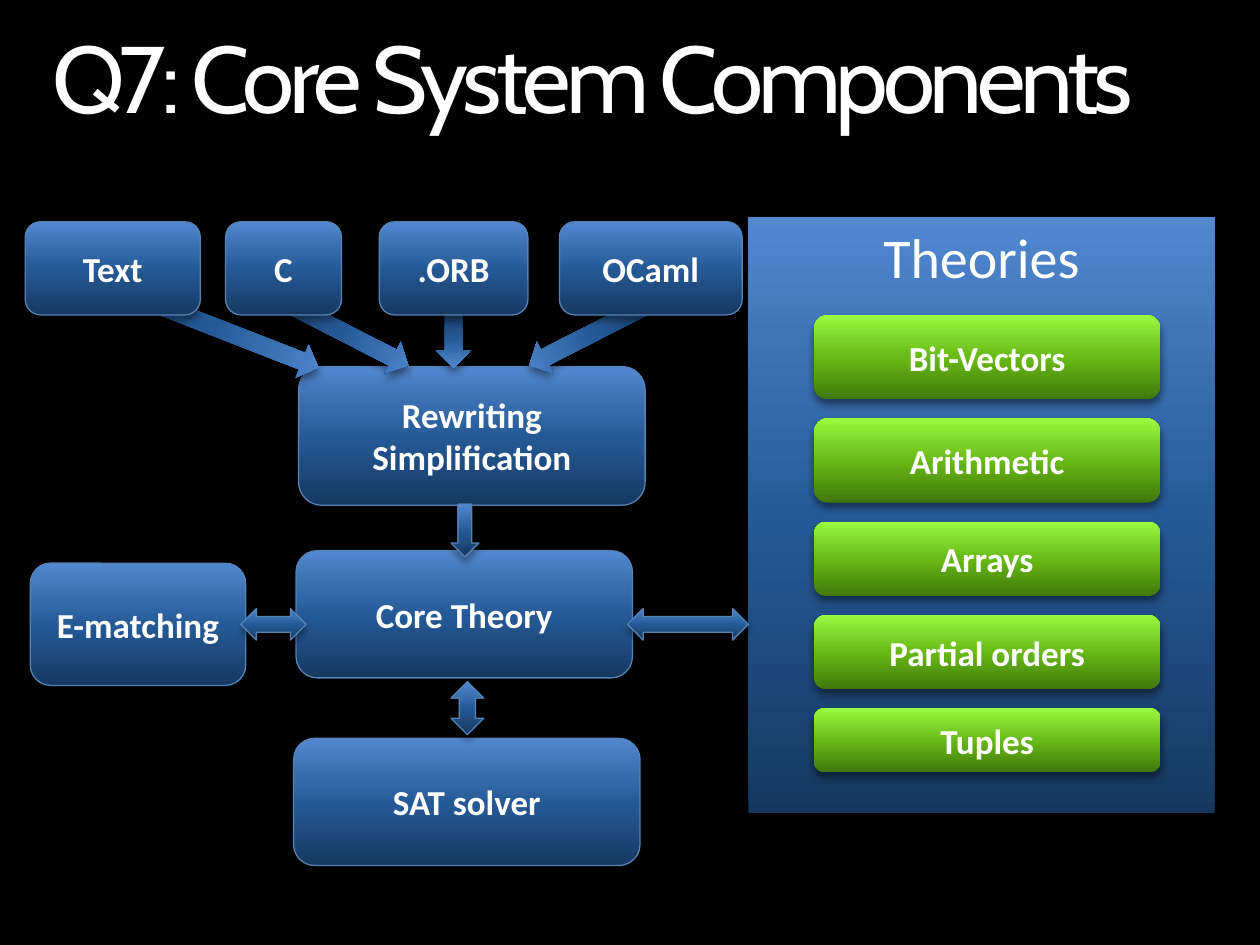
from lxml import etree
from pptx import Presentation
from pptx.dml.color import RGBColor
from pptx.enum.shapes import MSO_SHAPE
from pptx.enum.text import MSO_ANCHOR, MSO_AUTO_SIZE, PP_ALIGN
from pptx.oxml.ns import qn
from pptx.util import Inches, Pt

RECT = MSO_SHAPE.RECTANGLE
ROUNDED = MSO_SHAPE.ROUNDED_RECTANGLE
UP = MSO_SHAPE.UP_ARROW
DOWN = MSO_SHAPE.DOWN_ARROW
LEFT_RIGHT = MSO_SHAPE.LEFT_RIGHT_ARROW
UP_DOWN = MSO_SHAPE.UP_DOWN_ARROW
TOP, MIDDLE = MSO_ANCHOR.TOP, MSO_ANCHOR.MIDDLE
LEFT, CENTER = PP_ALIGN.LEFT, PP_ALIGN.CENTER
GROW = MSO_AUTO_SIZE.SHAPE_TO_FIT_TEXT

COLORS = {"background": "000000", "text": "FFFFFF", "outline": "5782B5", "shadow": "000000"}
GRADIENTS = {
    "blue": {0: "163860", 50: "265A97", 70: "376CAC", 100: "5188D0"},
    "green": {0: "41770B", 50: "69BA17", 70: "7CD228", 100: "99FB41"},
}
SHADOWS = {
    "soft": {"alpha": 35, "blur": 4, "dist": 3},
    "deep": {"alpha": 45, "blur": 5, "dist": 3},
}
TITLE_FONT = {"name": "Cabin", "size": Pt(54), "bold": False}
PANEL_FONT = {"name": "Calibri", "size": Pt(32), "bold": False}
LABEL_FONT = {"name": "Calibri", "size": Pt(20), "bold": True}
CELL = Inches(0.01)


def rgb(key):
    return RGBColor.from_string(COLORS[key])


def set_all(target, values):
    for attribute, value in values.items():
        setattr(target, attribute, value)


def place(box, col, row, cols, rows):
    lengths = (box[0] + col, box[1] + row, cols, rows)
    return [int(length * CELL) for length in lengths]


def add_color(parent, color):
    return etree.SubElement(parent, qn("a:srgbClr"), val=color)


def paint_gradient(shape, gradient):
    shape.fill.gradient()
    shape.fill.gradient_angle = 90
    stops = shape._element.spPr.find(".//" + qn("a:gsLst"))
    for stop in list(stops):
        stops.remove(stop)
    for position, color in GRADIENTS[gradient].items():
        add_color(etree.SubElement(stops, qn("a:gs"), pos=str(position * 1000)), color)


def cast_shadow(shape, shadow):
    shape.shadow.inherit = False
    values = SHADOWS[shadow]
    effects = shape._element.spPr.find(qn("a:effectLst"))
    outer = etree.SubElement(
        effects, qn("a:outerShdw"), blurRad=str(Pt(values["blur"])),
        dist=str(Pt(values["dist"])), dir="5400000", rotWithShape="0")
    color = add_color(outer, COLORS["shadow"])
    etree.SubElement(color, qn("a:alpha"), val=str(values["alpha"] * 1000))


def write(shape, text, font, align=CENTER, anchor=MIDDLE):
    frame = shape.text_frame
    set_all(frame, {"word_wrap": True, "vertical_anchor": anchor})
    paragraph = frame.paragraphs[0]
    paragraph.alignment = align
    run = paragraph.add_run()
    run.text = text
    set_all(run.font, font)
    run.font.color.rgb = rgb("text")
    return run


def add_part(slide, kind, area, gradient="blue", outlined=True, rotation=0):
    part = slide.shapes.add_shape(kind, *area)
    part.rotation = rotation
    paint_gradient(part, gradient)
    if outlined:
        part.line.color.rgb = rgb("outline")
        part.line.width = Pt(0.75)
    else:
        part.line.fill.background()
    cast_shadow(part, "soft" if outlined else "deep")
    return part


def add_heading(slide, box):
    heading = slide.shapes.title
    left, top, width, height = place(box, 0, 0, *box[2:])
    set_all(heading, {"left": left, "top": top, "width": width, "height": height})
    set_all(heading.text_frame, {
        "margin_left": 0, "margin_right": 0, "margin_top": 0, "margin_bottom": 0,
        "auto_size": GROW})
    run = write(heading, "Q7: Core System Components", TITLE_FONT, LEFT, TOP)
    run.font._element.set("spc", "-300")
    heading.text_frame.paragraphs[0].line_spacing = 0.9


def add_theories(slide, box):
    panel = add_part(slide, RECT, place(box, 0, 0, *box[2:]), outlined=False)
    write(panel, "Theories", PANEL_FONT, anchor=TOP)
    theories = {"Bit-Vectors": 67, "Arithmetic": 67, "Arrays": 59, "Partial orders": 59, "Tuples": 51}
    row, gap = 78, 15
    for name, rows in theories.items():
        theory = add_part(slide, ROUNDED, place(box, 52, row, 275, rows), "green", outlined=False)
        write(theory, name, LABEL_FONT)
        row += rows + gap


def add_pipeline(slide, box):
    stages = {
        "Core Theory": (211, 146, 267, 101),
        "SAT solver": (209, 295, 275, 101),
        "Rewriting Simplification": (213, 0, 275, 110),
        "E-matching": (0, 156, 171, 97),
    }
    links = [
        (LEFT_RIGHT, (474, 192, 96, 25)),
        (UP_DOWN, (334, 250, 26, 42)),
        (DOWN, (334, 109, 22, 42)),
        (LEFT_RIGHT, (167, 192, 52, 25)),
    ]
    for name, area in stages.items():
        write(add_part(slide, ROUNDED, place(box, *area)), name, LABEL_FONT)
    for kind, area in links:
        add_part(slide, kind, place(box, *area))


def add_interfaces(slide, box):
    interfaces = [
        ("OCaml", 424, 145, (435, 34, 28, 110), 243),
        ("Text", 0, 139, (135, -7, 28, 180), 111.3),
        (".ORB", 281, 118, (326, 70, 28, 46), 180),
        ("C", 159, 92, (238, 29, 28, 117), 117.1),
    ]
    for name, col, cols, arrow, rotation in interfaces:
        add_part(slide, UP, place(box, *arrow), outlined=False, rotation=rotation)
        interface = add_part(slide, ROUNDED, place(box, col, 0, cols, box[3]))
        write(interface, name, LABEL_FONT)


deck = Presentation()
set_all(deck, {"slide_width": Inches(10), "slide_height": Inches(7.5)})
components = deck.slides.add_slide(deck.slide_layouts.get_by_name("Title Only"))
components.background.fill.solid()
components.background.fill.fore_color.rgb = rgb("background")
add_heading(components, (42, 25, 917, 82))
add_theories(components, (594, 172, 370, 473))
add_pipeline(components, (24, 291, 570, 396))
add_interfaces(components, (20, 176, 569, 74))
deck.save("out.pptx")
